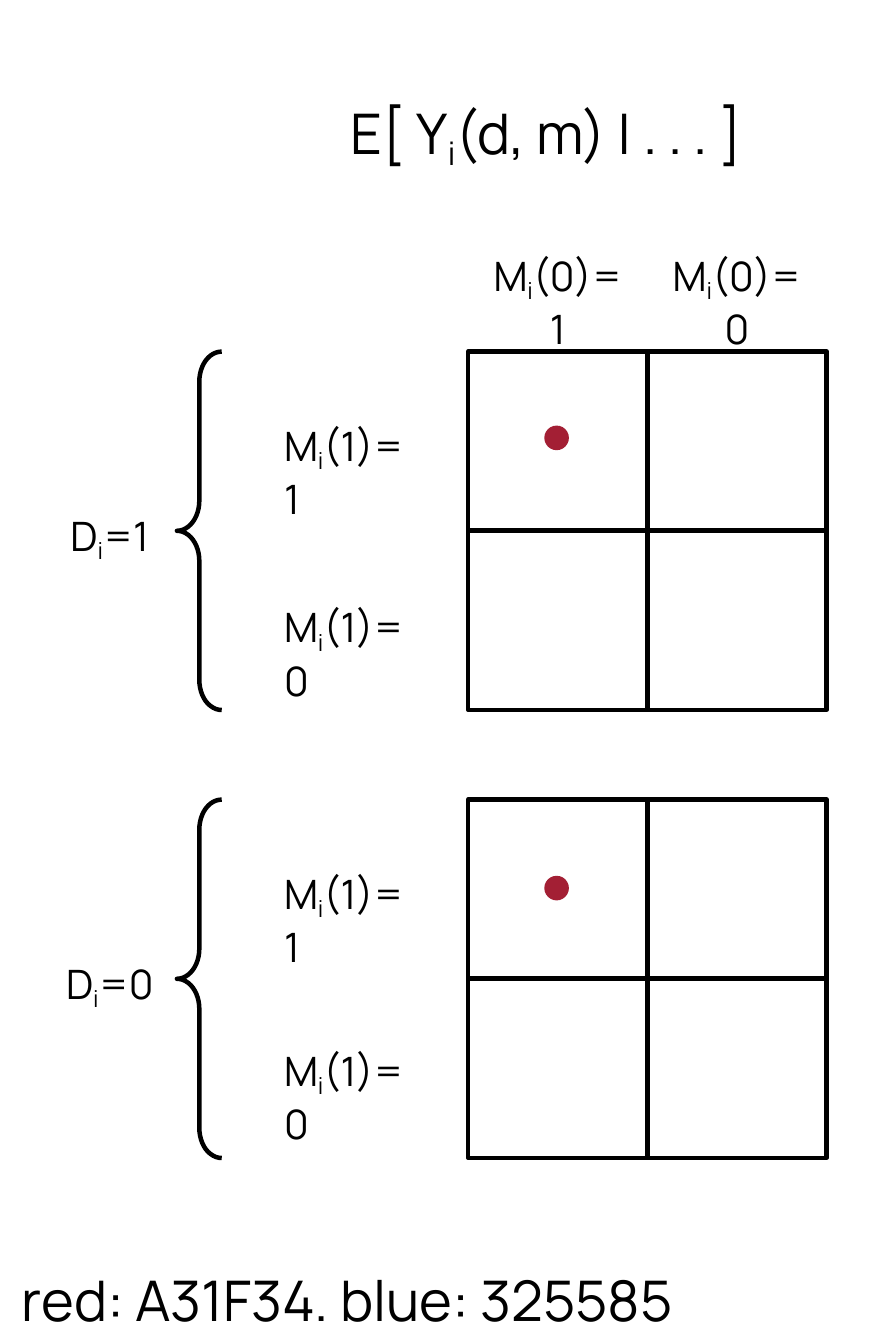
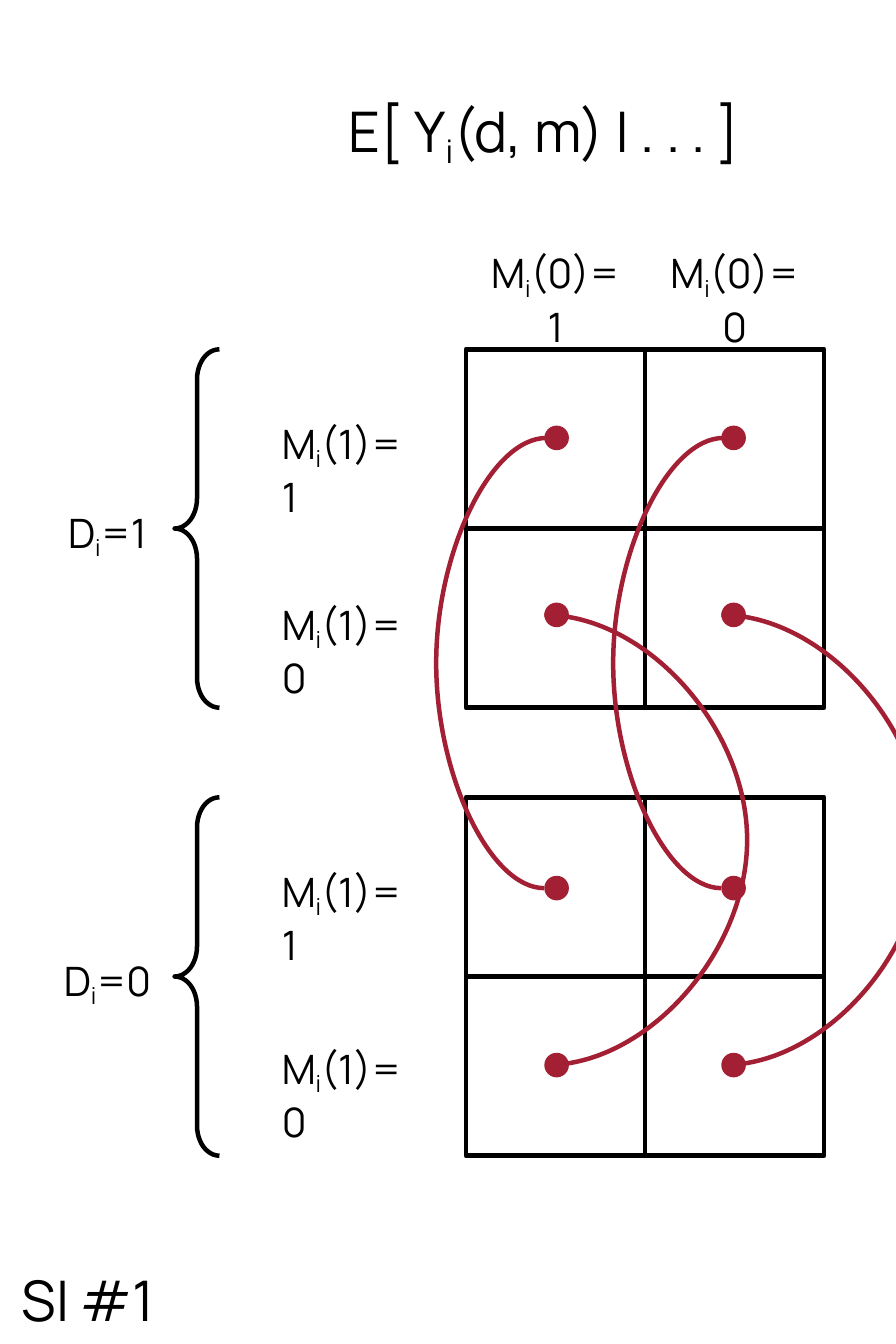
from itertools import product

from lxml import etree
from pptx import Presentation
from pptx.dml.color import RGBColor
from pptx.enum.shapes import MSO_CONNECTOR, MSO_SHAPE
from pptx.enum.text import MSO_AUTO_SIZE, PP_ALIGN
from pptx.oxml.ns import qn
from pptx.util import Inches, Pt

RECTANGLE, OVAL, BRACE = MSO_SHAPE.RECTANGLE, MSO_SHAPE.OVAL, MSO_SHAPE.LEFT_BRACE
CURVE = MSO_CONNECTOR.CURVE
LEFT, CENTER = PP_ALIGN.LEFT, PP_ALIGN.CENTER
BLACK = RGBColor(0x00, 0x00, 0x00)
WHITE = RGBColor(0xFF, 0xFF, 0xFF)
RED = RGBColor(0xA3, 0x1F, 0x34)
FONT = "Manrope"
LINE_WIDTH = Pt(1.45)

# Lengths in inches
CELL = 0.8
BLOCK_PITCH = 2.0
DOT = 0.11
DOT_PITCH = 0.79
DOT_LEFT, DOT_TOPS = 2.43, (1.9, 3.91)
BULGES = (-0.5, 0.92)  # sideways reach of the curves of the upper and lower rows
NUDGE = 0.01           # width of a curve's frame, which its adjustment multiplies

# An underscore lowers the character after it
TITLE = "E[ Y_i(d, m) | . . . ]"
COLUMN_LABELS = ["M_i(0)=1", "M_i(0)=0"]
BLOCKS = [
    ("D_i=1", [("M_i(1)=1", 0.26), ("M_i(1)=0", 1.07)]),
    ("D_i=0", [("M_i(1)=1", 0.26), ("M_i(1)=0", 1.05)]),
]
SLIDES = [
    {"caption": "red: A31F34. blue: 325585", "origin": (2.09, 1.57),
     "cells": [(0, 0)], "curves": False},
    {"caption": "SI #1", "origin": (2.08, 1.56),
     "cells": list(product(range(2), range(2))), "curves": True},
]


def add_text(slide, text, left, top, width, height, size=13, align=LEFT):
    box = slide.shapes.add_textbox(*map(Inches, (left, top, width, height)))
    frame = box.text_frame
    frame.word_wrap = True
    frame.auto_size = MSO_AUTO_SIZE.SHAPE_TO_FIT_TEXT
    paragraph = frame.paragraphs[0]
    paragraph.alignment = align
    base, _, rest = text.partition("_")
    for part, lowered in ((base, False), (rest[:1], True), (rest[1:], False)):
        if not part:
            continue
        run = paragraph.add_run()
        run.text = part
        run.font.name, run.font.size = FONT, Pt(size)
        run.font.color.rgb = BLACK
        if lowered:
            run._r.get_or_add_rPr().set("baseline", "-20000")


def add_shape(slide, kind, left, top, width, height, fill=None, line=None):
    shape = slide.shapes.add_shape(kind, *map(Inches, (left, top, width, height)))
    shape.shadow.inherit = False
    if fill is None:
        shape.fill.background()
    else:
        shape.fill.solid()
        shape.fill.fore_color.rgb = fill
    if line is None:
        shape.line.fill.background()
    else:
        shape.line.color.rgb = line
        shape.line.width = LINE_WIDTH
        etree.SubElement(shape.line._get_or_add_ln(), qn("a:round"))
    return shape


def add_curve(slide, x, top, bottom, bulge):
    """Join two points, one above the other, by a curve that reaches bulge sideways."""
    step = NUDGE if bulge > 0 else -NUDGE
    curve = slide.shapes.add_connector(
        CURVE, *map(Inches, (x, top, x + step, bottom)))
    curve.line.color.rgb = RED
    curve.line.width = LINE_WIDTH
    properties = curve._element.spPr
    etree.SubElement(properties, qn("a:effectLst"))
    adjustments = properties.find(qn("a:prstGeom")).get_or_add_avLst()
    etree.SubElement(adjustments, qn("a:gd"), name="adj1",
                     fmla=f"val {round(bulge / step * 100000)}")


def add_block(slide, left, top, group_label, row_labels):
    for row, column in product(range(2), range(2)):
        add_shape(slide, RECTANGLE, left + column * CELL, top + row * CELL,
                  CELL, CELL, fill=WHITE, line=BLACK)
    for label, offset in row_labels:
        add_text(slide, label, left - 0.92, top + offset, CELL, 1.08)
    add_text(slide, group_label, left - 2, top + 0.66, CELL, 0.75, align=CENTER)
    brace = add_shape(slide, BRACE, left - 1.3, top, 0.2, 2 * CELL, line=BLACK)
    brace.adjustments[0] = 0.67


def add_dots(slide, cells, curves):
    for row, column in cells:
        left = DOT_LEFT + column * DOT_PITCH
        tops = [top + row * DOT_PITCH for top in DOT_TOPS]
        if curves:
            start = left + (NUDGE if row == 0 else 0)
            add_curve(slide, start, *(top + DOT / 2 for top in tops), BULGES[row])
        for top in tops:
            add_shape(slide, OVAL, left, top, DOT, DOT, fill=RED)


def main():
    presentation = Presentation()
    presentation.slide_width, presentation.slide_height = Inches(4), Inches(6)
    for content in SLIDES:
        slide = presentation.slides.add_slide(presentation.slide_layouts[6])
        left, top = content["origin"]
        for index, (group_label, row_labels) in enumerate(BLOCKS):
            add_block(slide, left, top + index * BLOCK_PITCH, group_label, row_labels)
        for column, label in enumerate(COLUMN_LABELS):
            add_text(slide, label, left + column * CELL, top - 0.5, CELL, 1.08,
                     align=CENTER)
        add_text(slide, TITLE, left - 0.8, top - 1.18, 2.3, 0.78, size=18, align=CENTER)
        add_text(slide, content["caption"], 0, 5.6, 3.9, 0.44, size=18)
        add_dots(slide, content["cells"], content["curves"])
    presentation.save("out.pptx")


if __name__ == "__main__":
    main()
